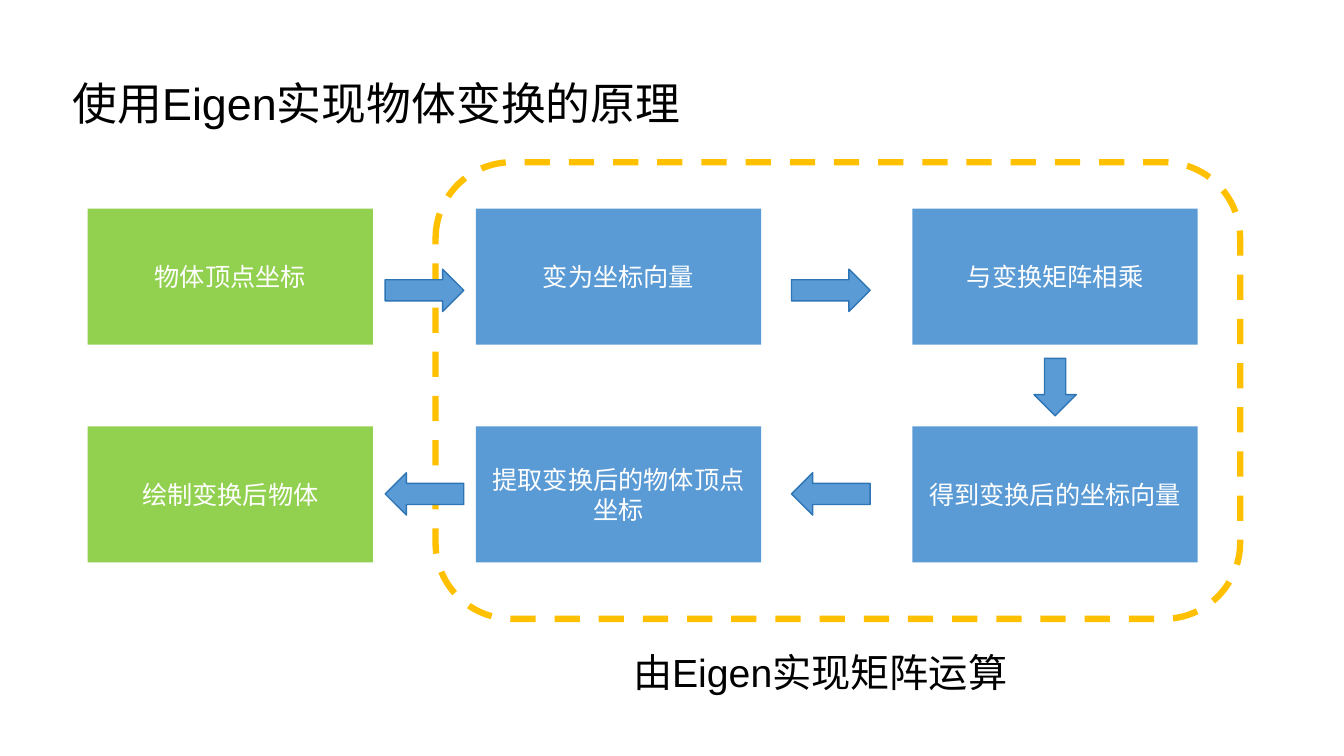
"""Build the slide on transforming objects with Eigen."""
from pptx import Presentation
from pptx.dml.color import RGBColor
from pptx.enum.dml import MSO_LINE
from pptx.enum.shapes import MSO_SHAPE
from pptx.enum.text import MSO_ANCHOR, PP_ALIGN
from pptx.util import Inches, Pt

BLACK = RGBColor(0x00, 0x00, 0x00)
WHITE = RGBColor(0xFF, 0xFF, 0xFF)
GREEN = RGBColor(0x92, 0xD0, 0x50)
BLUE = RGBColor(0x5B, 0x9B, 0xD5)
DARK_BLUE = RGBColor(0x2E, 0x75, 0xB6)
AMBER = RGBColor(0xFF, 0xC0, 0x00)

LABELS = [
    ("使用Eigen实现物体变换的原理", (0.62, 0.7, 9.22, 0.64), 32),
    ("由Eigen实现矩阵运算", (6.18, 6.38, 4.25, 0.85), 28),
]
STEPS = [
    ["物体顶点坐标", "变为坐标向量", "与变换矩阵相乘"],
    ["绘制变换后物体", "提取变换后的物体顶点坐标", "得到变换后的坐标向量"],
]
COLUMN_X = [0.87, 4.72, 9.05]
COLUMN_FILLS = [GREEN, BLUE, BLUE]
ROW_Y = [2.07, 4.23]
BOX_W, BOX_H = 2.83, 1.35
FRAME = (4.32, 1.61, 7.98, 4.53)
ARROW_X = [3.82, 7.85]
ARROW_ROWS = [(2.67, 0), (4.69, 180)]
ARROW_W, ARROW_H = 0.78, 0.42
DOWN_ARROW = (10.18, 3.63, 0.57, ARROW_H)


def write(sp, text, size, color):
    tf = sp.text_frame
    tf.word_wrap = True
    tf.text = text
    font = tf.paragraphs[0].runs[0].font
    font.name, font.size = "Arial", Pt(size)
    font.color.rgb = color
    return tf


def add_shape(slide, kind, box, fill=None, line=None, width=1):
    sp = slide.shapes.add_shape(kind, *map(Inches, box))
    sp.shadow.inherit = False
    if fill is None:
        sp.fill.background()
    else:
        sp.fill.solid()
        sp.fill.fore_color.rgb = fill
    if line is None:
        sp.line.fill.background()
    else:
        sp.line.color.rgb = line
        sp.line.width = Pt(width)
    return sp


def add_arrow(slide, box, rotation):
    sp = add_shape(slide, MSO_SHAPE.RIGHT_ARROW, box, BLUE, DARK_BLUE)
    sp.rotation = rotation


def main():
    prs = Presentation()
    prs.slide_width, prs.slide_height = Inches(13.33), Inches(7.5)
    slide = prs.slides.add_slide(prs.slide_layouts[6])

    for text, box, size in LABELS:
        write(slide.shapes.add_textbox(*map(Inches, box)), text, size, BLACK)

    for y, row in zip(ROW_Y, STEPS):
        for x, fill, text in zip(COLUMN_X, COLUMN_FILLS, row):
            sp = add_shape(slide, MSO_SHAPE.RECTANGLE, (x, y, BOX_W, BOX_H), fill)
            tf = write(sp, text, 18, WHITE)
            tf.vertical_anchor = MSO_ANCHOR.MIDDLE
            tf.paragraphs[0].alignment = PP_ALIGN.CENTER

    frame = add_shape(slide, MSO_SHAPE.ROUNDED_RECTANGLE, FRAME, line=AMBER, width=4.5)
    frame.line.dash_style = MSO_LINE.DASH

    for y, rotation in ARROW_ROWS:
        for x in ARROW_X:
            add_arrow(slide, (x, y, ARROW_W, ARROW_H), rotation)
    add_arrow(slide, DOWN_ARROW, 90)

    prs.save("out.pptx")


if __name__ == "__main__":
    main()
